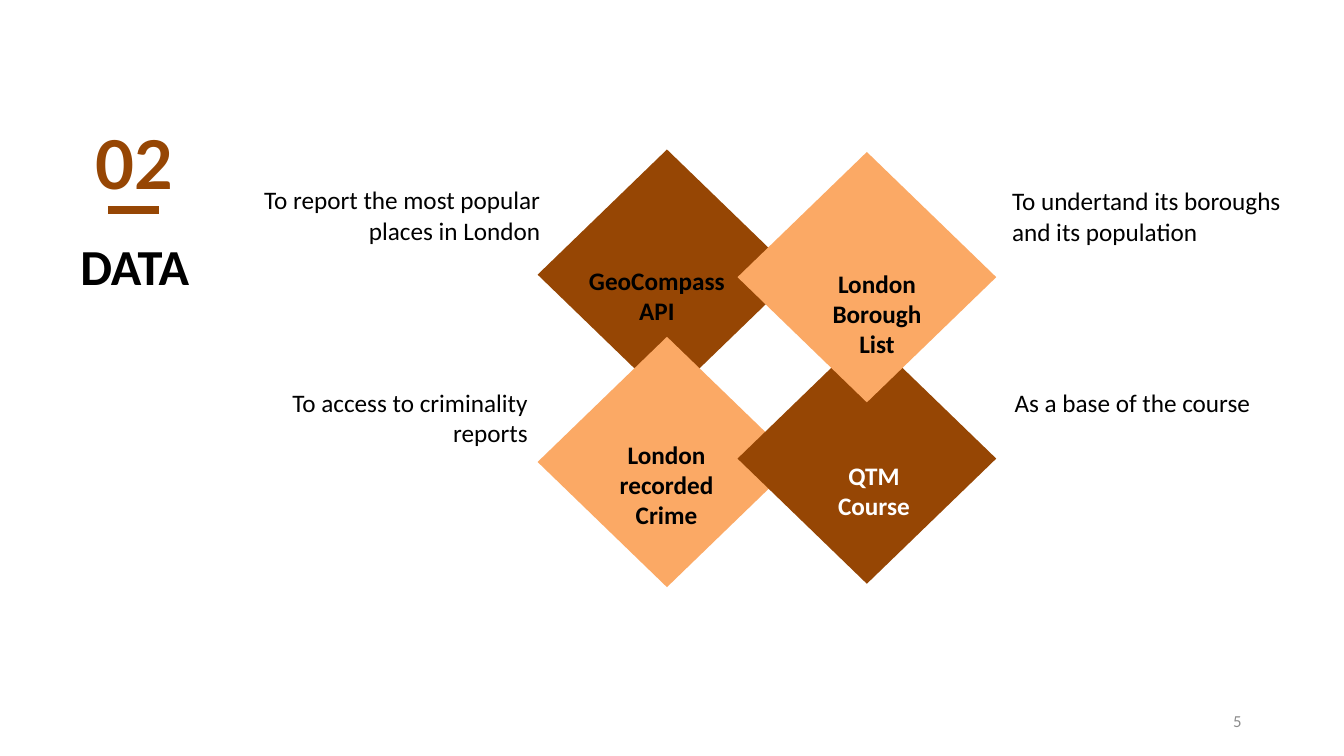
from pptx import Presentation
from pptx.dml.color import RGBColor
from pptx.enum.shapes import MSO_CONNECTOR, MSO_SHAPE
from pptx.enum.text import MSO_ANCHOR, PP_ALIGN
from pptx.oxml.ns import qn
from pptx.util import Inches, Pt
from lxml.etree import SubElement

BROWN, PEACH, BLACK, WHITE, GREY = "964604", "FBA965", "000000", "FFFFFF", "8C8C8C"

prs = Presentation()
prs.slide_width, prs.slide_height = Inches(13.333), Inches(7.5)
s = prs.slides.add_slide(prs.slide_layouts[6])

# Grid of 160 columns by 90 rows; all lengths below are in its square cells
CELL = prs.slide_height / 90


def cells(*lengths):
    return [round(n * CELL) for n in lengths]


def add_text(text, x, y, w, h, size=18, color=BLACK, bold=False,
             font="Calibri", align=PP_ALIGN.LEFT, anchor=MSO_ANCHOR.TOP):
    tf = s.shapes.add_textbox(*cells(x, y, w, h)).text_frame
    tf.word_wrap = True
    tf.vertical_anchor = anchor
    p = tf.paragraphs[0]
    p.alignment = align
    r = p.add_run()
    r.text = text
    r.font.name, r.font.size, r.font.bold = font, Pt(size), bold
    r.font.color.rgb = RGBColor.from_string(color)


# Section number, rule and title
add_text("02", 10.2, 14, 11.8, 10.9, size=48, color=BROWN, bold=True, font="Lato")
rule = s.shapes.add_connector(MSO_CONNECTOR.STRAIGHT, *cells(12.85, 25, 18.95, 25))
rule.line.color.rgb = RGBColor.from_string(BROWN)
rule.line.width = Pt(6)
SubElement(rule._element.spPr, qn("a:effectLst"))
add_text("DATA", 2.5, 27.4, 27.1, 8.5, size=36, bold=True, align=PP_ALIGN.CENTER)

# Overlapping diamonds, back to front
left, right = 64, 87.8
for x, y, color in [(left, 17.8, BROWN), (left, 40.1, PEACH),
                    (right, 39.7, BROWN), (right, 18.1, PEACH)]:
    sp = s.shapes.add_shape(MSO_SHAPE.DIAMOND, *cells(x, y, 30.8, 29.8))
    sp.shadow.inherit = False
    sp.fill.solid()
    sp.fill.fore_color.rgb = RGBColor.from_string(color)
    sp.line.fill.background()

# Diamond labels
for text, x, y, w, h, color in [
    ("GeoCompass API", 68, 31, 20.4, 8.5, BLACK),
    ("QTM Course", 97.1, 54.2, 13.9, 8.5, WHITE),
    ("London Borough List", 96.8, 31.3, 15.2, 12.1, BLACK),
    ("London recorded Crime", 72.4, 51.7, 13.9, 12.1, BLACK),
]:
    add_text(text, x, y, w, h, color=color, bold=True, align=PP_ALIGN.CENTER)

# Purpose of each data source
for text, x, y, h, align in [
    ("To report the most popular places in London", 30.1, 21.4, 8.5, PP_ALIGN.RIGHT),
    ("To access to criminality reports", 28.6, 45.5, 8.5, PP_ALIGN.RIGHT),
    ("As a base of the course", 119.6, 45.5, 4.8, PP_ALIGN.LEFT),
    ("To undertand its boroughs and its population", 119.3, 21.5, 12.1, PP_ALIGN.LEFT),
]:
    add_text(text, x, y, 35.4, h, align=align)

# Slide number
add_text("5", 113, 83.4, 36, 4.8, size=12, color=GREY,
         align=PP_ALIGN.RIGHT, anchor=MSO_ANCHOR.MIDDLE)

prs.save("out.pptx")
